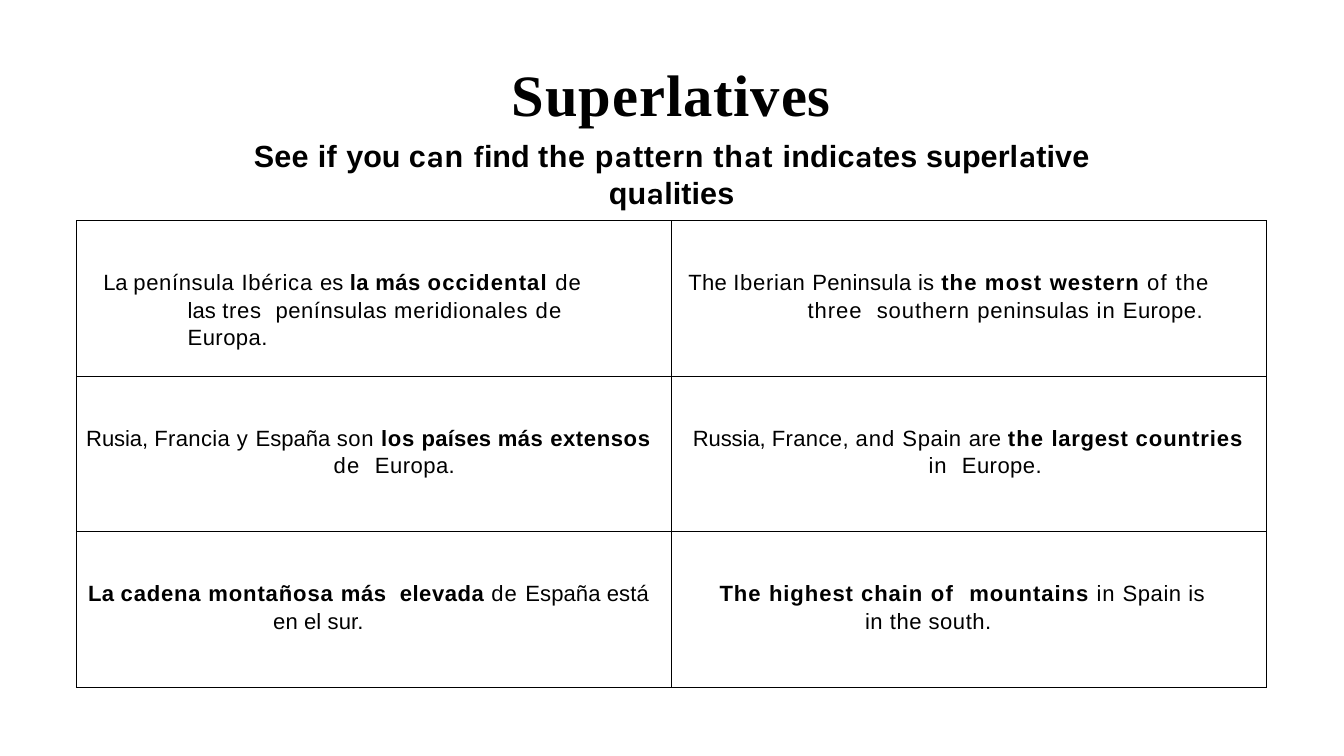
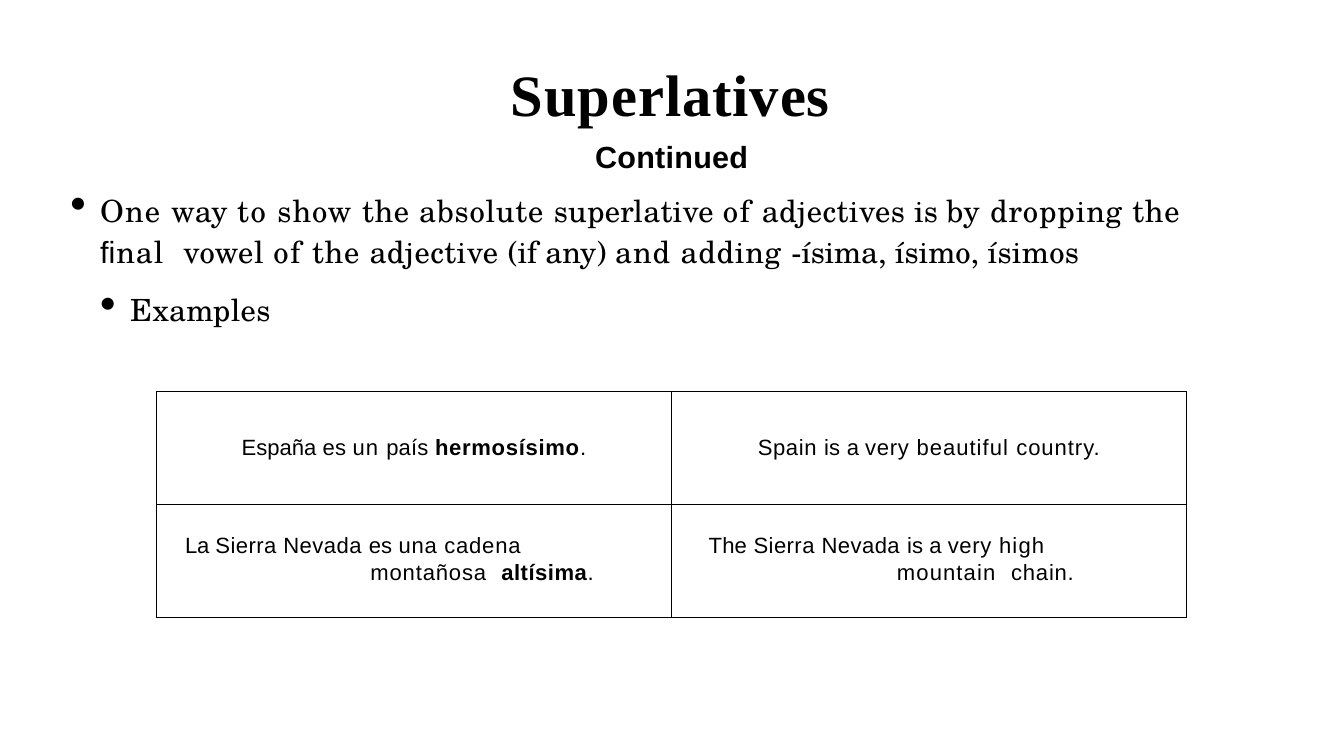
from dataclasses import dataclass, field
from typing import NamedTuple, Optional

from lxml.etree import SubElement
from pptx import Presentation
from pptx.dml.color import RGBColor
from pptx.enum.text import MSO_ANCHOR, MSO_AUTO_SIZE, PP_ALIGN
from pptx.oxml.ns import qn
from pptx.util import Inches, Pt

# Shared style
BLACK = RGBColor(0x00, 0x00, 0x00)
SANS, SERIF, SCHOOL, ACCENT = "Arial", "Times New Roman", "TeX Gyre Schola", "Karla"
TITLE_SIZE, BODY_SIZE, CELL_SIZE = 69, 36, 26
CELL_LINE_SPACING = 1.11
BULLET_HANG = 0.49
BULLET_PERCENT = 151


class Span(NamedTuple):
    text: str
    spacing: float = 0
    bold: Optional[bool] = None
    font: Optional[str] = None


class Area(NamedTuple):
    left: float
    top: float
    width: float
    height: float


@dataclass
class Line:
    spans: list[Span]
    size: float = BODY_SIZE
    font: str = SANS
    bold: bool = False
    left: float = 0
    hang: float = 0
    bullet: bool = False
    layout: dict = field(default_factory=dict)


@dataclass
class Entry:
    """One table cell; hang is how far the first line starts before the rest."""
    spans: list[Span]
    left: float = 0
    hang: float = 0
    right: float = 0
    top: float = 0.78
    align: PP_ALIGN = PP_ALIGN.LEFT


def strong(text: str, spacing: float) -> Span:
    return Span(text, spacing, True)


def accent(spacing: float) -> Span:
    return Span("a", spacing, font=ACCENT)


# Text
def write_line(para, line: Line) -> None:
    for name, value in line.layout.items():
        setattr(para, name, value)
    properties = para._p.get_or_add_pPr()
    properties.set("marL", str(Inches(line.left)))
    properties.set("indent", str(Inches(-line.hang)))
    if line.bullet:
        SubElement(properties, qn("a:buSzPct"), val=str(BULLET_PERCENT * 1000))
        SubElement(properties, qn("a:buChar"), char="•")
    for span in line.spans:
        run = para.add_run()
        run.text = span.text
        style = {
            "name": span.font or line.font,
            "size": Pt(line.size),
            "bold": line.bold if span.bold is None else span.bold,
        }
        for name, value in style.items():
            setattr(run.font, name, value)
        run.font.color.rgb = BLACK
        run._r.get_or_add_rPr().set("spc", str(round(span.spacing * 100)))


def fill_box(box, area: Area, top_inset: float, lines: list[Line]) -> None:
    for name, value in area._asdict().items():
        setattr(box, name, Inches(value))
    frame = box.text_frame
    settings = {
        "word_wrap": True,
        "auto_size": MSO_AUTO_SIZE.SHAPE_TO_FIT_TEXT,
        "vertical_anchor": MSO_ANCHOR.TOP,
        "margin_left": 0,
        "margin_right": 0,
        "margin_top": Inches(top_inset),
        "margin_bottom": 0,
    }
    for name, value in settings.items():
        setattr(frame, name, value)
    for index, line in enumerate(lines):
        para = frame.add_paragraph() if index else frame.paragraphs[0]
        write_line(para, line)


def title_line(align: PP_ALIGN) -> Line:
    return Line([Span("Superlatives", 1.1)], TITLE_SIZE, SERIF, True,
                layout={"alignment": align})


# Tables
def draw_border(cell) -> None:
    properties = cell._tc.get_or_add_tcPr()
    for side in ("lnL", "lnR", "lnT", "lnB"):
        edge = SubElement(properties, qn(f"a:{side}"), w=str(Pt(1)))
        paint = SubElement(edge, qn("a:solidFill"))
        SubElement(paint, qn("a:srgbClr"), val=str(BLACK))


def write_cell(cell, entry: Entry) -> None:
    draw_border(cell)
    cell.fill.background()
    settings = {
        "margin_left": 0,
        "margin_right": Inches(entry.right),
        "margin_top": Inches(entry.top),
        "margin_bottom": 0,
        "vertical_anchor": MSO_ANCHOR.TOP,
    }
    for name, value in settings.items():
        setattr(cell, name, value)
    layout = {"alignment": entry.align}
    if entry.hang:
        layout["line_spacing"] = CELL_LINE_SPACING
    write_line(cell.text_frame.paragraphs[0],
               Line(entry.spans, CELL_SIZE, left=entry.left, hang=entry.hang,
                    layout=layout))


def draw_table(page, area: Area, rows: list[list[Entry]]) -> None:
    table = page.shapes.add_table(len(rows), len(rows[0]),
                                  *(Inches(length) for length in area)).table
    table.first_row = table.horz_banding = False
    for row_index, row in enumerate(rows):
        for column_index, entry in enumerate(row):
            write_cell(table.cell(row_index, column_index), entry)


# Slide 1 content
PATTERN_HINT = [
    Span("See ", 0.3), Span("if ", 0.6), Span("you ", -0.2), Span("c", 0.6),
    accent(0.6), Span("n ", 0.6), Span("f", -0.1, font=ACCENT),
    Span("ind ", -0.1), Span("the p", 0.8), accent(0.8), Span("ttern ", 0.8),
    Span("th", 0.9), accent(0.9), Span("t ", 0.9), Span("indic", 0.2),
    accent(0.2), Span("tes ", 0.2), Span("superl", 0.1), accent(0.1),
    Span("tive qu", 0.1), accent(0.1), Span("lities", 0.1),
]

COMPARISONS = [
    [
        Entry([Span("La ", -0.3), Span("península ", 0.7), Span("Ibérica ", 0.9),
               Span("es ", 0.1), strong("la ", 0.3), strong("más ", 0.6),
               strong("occidental ", 1.3), Span("de ", 1.3), Span("las ", 0.1),
               Span("tres  ", 0.8), Span("penínsulas ", 0.6),
               Span("meridionales ", 0.9), Span("de ", 1.3),
               Span("Europa.", 0.5)], 1.82, 1.38, 0.9),
        Entry([Span("The ", 0.2), Span("Iberian ", 0.8),
               Span("Peninsula is ", 0.3), strong("the ", 1.3),
               strong("most ", 1.4), strong("western ", 1.1), Span("of ", 1.6),
               Span("the ", 1.3), Span("three  southern ", 1.1),
               Span("peninsulas ", 0.8), Span("in ", 1.1),
               Span("Europe.", 0.5)], 2.23, 1.95, 0.9),
    ],
    [
        Entry([Span("Rusia, ", -0.1), Span("Francia ", 0.4), Span("y ", 0.9),
               Span("España "), Span("son ", 0.8), strong("los ", 0.7),
               strong("países ", 0.2), strong("más ", 0.6),
               strong("extensos ", 0.7), Span("de  ", 1.3),
               Span("Europa.", 0.5)], 4.21, 4.05, 0.3),
        Entry([Span("Russia, ", -0.1), Span("France, ", 0.4), Span("and ", 1.1),
               Span("Spain ", 0.7), Span("are ", 0.3), strong("the ", 1.3),
               strong("largest ", 0.8), strong("countries ", 1.1),
               Span("in  ", 1.1), Span("Europe.", 0.5)], 4.21, 3.86, 0.3),
    ],
    [
        Entry([strong("La ", 0.3), strong("cadena ", 0.9),
               strong("montañosa ", 1), strong("más  elevada ", 0.6),
               Span("de ", 1.3), Span("España está en el sur.", 0.1)],
              3.22, 3.03, 0.3),
        Entry([strong("T", 0.7), strong("he ", 1.3),
               strong("highest chain ", 1.1), strong("of  ", 1.6),
               strong("mountains ", 1.1), Span("in ", 1.1),
               Span("Spain is in the south.", 0.6)], 3.17, 2.38, 0.9),
    ],
]

# Slide 2 content
ABSOLUTE_RULE = [
    Span("One ", 1.4), Span("way ", 0.6), Span("to ", 1.8), Span("show ", 1.2),
    Span("the absolute ", 0.9), Span("superlative ", 0.3), Span("of ", 1.9),
    Span("adjectives", 0.6), Span(" is ", -0.1), Span("by ", 1.1),
    Span("dropping ", 1), Span("the ", 0.9), Span("ﬁ", 1.1, font=SANS),
    Span("nal  ", 1.1), Span("vowel ", 0.7), Span("of ", 1.9),
    Span("the ", 0.9), Span("adjective ", 0.6), Span("(if ", -0.4),
    Span("any) ", 0.1), Span("and ", 1.1), Span("adding ", 0.9),
    Span("-ísima, ", -0.2), Span("ísimo, "), Span("ísimos", 0.3),
]

EXAMPLES = [
    [
        Entry([Span("España "), Span("es ", 0.1), Span("un ", 1.2),
               Span("país ", 0.2), strong("hermosísimo", 0.8), Span(".", 0.8)],
              top=0.72, align=PP_ALIGN.CENTER),
        Entry([Span("Spain ", 0.7), Span("is ", 0.3), Span("a ", -0.2),
               Span("very ", 0.8), Span("beautiful ", 1.2),
               Span("country.", 1.1)], top=0.72, align=PP_ALIGN.CENTER),
    ],
    [
        Entry([Span("La ", -0.3), Span("Sierra Nevada ", 0.5), Span("es ", 0.1),
               Span("una ", 0.8), Span("cadena ", 0.9), Span("montañosa  ", 1),
               strong("altísima", 0.6), Span(".", 0.6)], 3.5, 3.03, 1.1, 0.43),
        Entry([Span("The ", 0.2), Span("Sierra Nevada ", 0.5), Span("is", 0.3),
               Span(" a ", -0.2), Span("very ", 0.8), Span("high ", 1.4),
               Span("mountain  ", 1.3), Span("chain.", 0.9)],
              3.69, 3.08, 1.1, 0.43),
    ],
]

# Deck
deck = Presentation()
deck.slide_width, deck.slide_height = Inches(21.99), Inches(12.37)
title_only = deck.slide_layouts[5]

# Slide 1: comparing sentences
page = deck.slides.add_slide(title_only)
fill_box(page.shapes.title, Area(3.21, 0.64, 15.56, 2.22), 0.3, [
    title_line(PP_ALIGN.CENTER),
    Line(PATTERN_HINT, bold=True,
         layout={"alignment": PP_ALIGN.CENTER, "space_before": Pt(10.9)}),
])
draw_table(page, Area(1.25, 3.61, 19.47, 7.63), COMPARISONS)

# Slide 2: absolute superlative
page = deck.slides.add_slide(title_only)
fill_box(page.shapes.title, Area(8.36, 0.92, 5.27, 1.18), 0.02,
         [title_line(PP_ALIGN.LEFT)])
body = page.shapes.add_textbox(0, 0, 0, 0)
fill_box(body, Area(1.13, 2.23, 18.42, 3.21), 0.02, [
    Line([Span("Continued", 0.3)], bold=True, left=1.3,
         layout={"alignment": PP_ALIGN.CENTER}),
    Line(ABSOLUTE_RULE, font=SCHOOL, left=0.51, hang=BULLET_HANG, bullet=True,
         layout={"line_spacing": 1.13, "space_before": Pt(14.8)}),
    Line([Span("Examples", 0.4)], font=SCHOOL, left=1, hang=BULLET_HANG,
         bullet=True, layout={"level": 1, "space_before": Pt(25.6)}),
])
draw_table(page, Area(2.56, 6.41, 16.85, 3.69), EXAMPLES)

deck.save("out.pptx")
